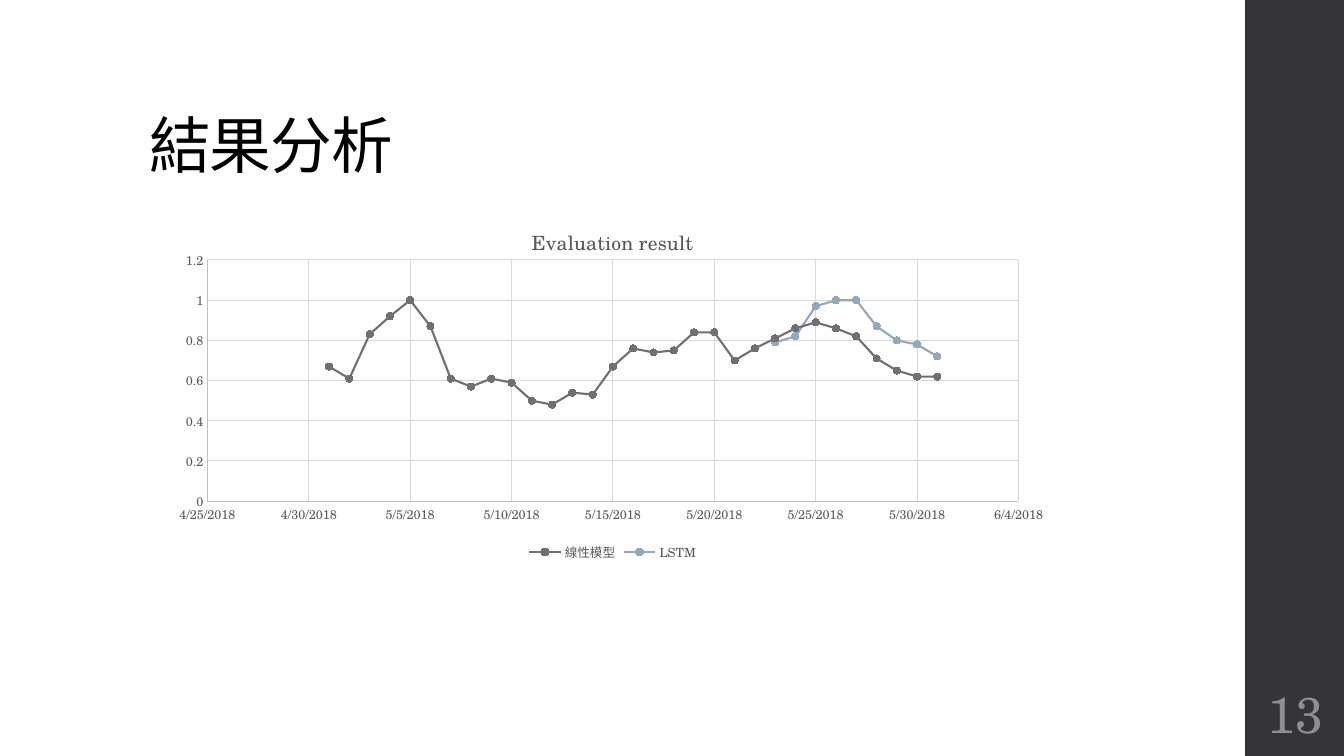
from lxml import etree
from pptx import Presentation
from pptx.chart.data import XyChartData
from pptx.dml.color import RGBColor
from pptx.enum.chart import XL_CHART_TYPE as ChartType
from pptx.enum.chart import XL_LEGEND_POSITION as LegendPos
from pptx.enum.chart import XL_MARKER_STYLE as Marker
from pptx.enum.chart import XL_TICK_MARK as Tick
from pptx.enum.shapes import MSO_SHAPE as Shape
from pptx.enum.text import MSO_ANCHOR as Anchor
from pptx.enum.text import PP_ALIGN as Align
from pptx.oxml.ns import qn
from pptx.util import Inches, Pt

BLACK = RGBColor(0x00, 0x00, 0x00)
SIDEBAR = RGBColor(0x35, 0x35, 0x37)
PAGE_GRAY = RGBColor(0x8E, 0x8E, 0x94)
LABEL_GRAY = RGBColor(0x59, 0x59, 0x59)
AXIS_GRAY = RGBColor(0xBF, 0xBF, 0xBF)
GRID_GRAY = RGBColor(0xD9, 0xD9, 0xD9)
LINEAR_GRAY = RGBColor(0x6F, 0x6F, 0x74)
LSTM_BLUE = RGBColor(0x92, 0xA9, 0xB9)

SERIF = "TeX Gyre Schola"
CJK = "Noto Sans CJK SC"

# Dates are day numbers: 43220 + n is n May 2018.
APRIL_30 = 43220
LINEAR = [0.67, 0.61, 0.83, 0.92, 1, 0.87, 0.61, 0.57, 0.61, 0.59, 0.5,
          0.48, 0.54, 0.53, 0.67, 0.76, 0.74, 0.75, 0.84, 0.84, 0.7,
          0.76, 0.81, 0.86, 0.89, 0.86, 0.82, 0.71, 0.65, 0.62, 0.62]
# LSTM results begin on 23 May.
LSTM = [None] * 22 + [0.79, 0.82, 0.97, 1, 1, 0.87, 0.8, 0.78, 0.72]
SERIES = [("線性模型", LINEAR, LINEAR_GRAY), ("LSTM", LSTM, LSTM_BLUE)]


def style_font(font, size, color, name=SERIF):
    font.size = Pt(size)
    font.bold = False
    font.name = name
    font.color.rgb = color


def style_line(line, color, width):
    line.color.rgb = color
    line.width = Pt(width)


def add_sidebar(slide):
    sp = slide.shapes.add_shape(Shape.RECTANGLE, Inches(12.35), 0,
                                Inches(0.98), Inches(7.5))
    sp.shadow.inherit = False
    sp.fill.solid()
    sp.fill.fore_color.rgb = SIDEBAR
    sp.line.fill.background()


def add_text(slide, box, text, size, color, font, anchor, align):
    tb = slide.shapes.add_textbox(*map(Inches, box))
    tf = tb.text_frame
    tf.word_wrap = True
    tf.vertical_anchor = anchor
    p = tf.paragraphs[0]
    p.text = text
    p.alignment = align
    style_font(p.font, size, color, font)
    return tf


def add_title(slide, text):
    tf = add_text(slide, (1.38, 0.4, 10.6, 1.45), text, 44, BLACK, CJK,
                  Anchor.BOTTOM, Align.LEFT)
    p = tf.paragraphs[0]
    p.line_spacing = 0.9
    props = p._p.pPr.find(qn("a:defRPr"))
    props.set("spc", "-50")
    latin = props.find(qn("a:latin"))
    east_asian = etree.Element(qn("a:ea"), typeface=CJK)
    latin.addnext(east_asian)


def add_page_number(slide, number):
    tf = add_text(slide, (12.35, 6.75, 1, 0.65), str(number), 36, PAGE_GRAY,
                  SERIF, Anchor.MIDDLE, Align.CENTER)
    tf.margin_left = tf.margin_right = Inches(0.05)
    tf.margin_top = tf.margin_bottom = Inches(0.05)


def style_axis(axis, low, high, step, number_format):
    axis.minimum_scale = low
    axis.maximum_scale = high
    axis.major_unit = step
    axis.major_tick_mark = axis.minor_tick_mark = Tick.NONE
    axis.has_major_gridlines = True
    style_line(axis.major_gridlines.format.line, GRID_GRAY, 0.75)
    style_line(axis.format.line, AXIS_GRAY, 0.75)
    labels = axis.tick_labels
    labels.number_format = number_format
    labels.number_format_is_linked = False
    style_font(labels.font, 9, LABEL_GRAY)


def place_plot(chart, x, y, w, h):
    """Fix the inner plot area, in fractions of the chart."""
    area = chart._chartSpace.chart.plotArea
    for old in area.findall(qn("c:layout")):
        area.remove(old)
    layout = etree.Element(qn("c:layout"))
    manual = etree.SubElement(layout, qn("c:manualLayout"))
    settings = [("layoutTarget", "inner"), ("xMode", "edge"),
                ("yMode", "edge"), ("x", x), ("y", y), ("w", w), ("h", h)]
    for tag, val in settings:
        etree.SubElement(manual, qn(f"c:{tag}"), val=str(val))
    area.insert(0, layout)


def style_series(series, color):
    series.smooth = False
    style_line(series.format.line, color, 1.5)
    marker = series.marker
    marker.style = Marker.CIRCLE
    marker.size = 5
    marker.format.fill.solid()
    marker.format.fill.fore_color.rgb = color
    style_line(marker.format.line, color, 0.75)


def add_result_chart(slide):
    data = XyChartData()
    for name, values, _ in SERIES:
        series = data.add_series(name)
        for day, value in enumerate(values, APRIL_30 + 1):
            series.add_data_point(day, value)
    box = map(Inches, (1.64, 2.07, 8.87, 3.54))
    chart = slide.shapes.add_chart(ChartType.XY_SCATTER_LINES, *box, data).chart
    style_font(chart.font, 10, BLACK)

    chart.has_title = True
    p = chart.chart_title.text_frame.paragraphs[0]
    p.text = "Evaluation result"
    style_font(p.font, 14, LABEL_GRAY)
    chart.chart_title.include_in_layout = False

    chart.has_legend = True
    chart.legend.position = LegendPos.BOTTOM
    chart.legend.include_in_layout = False
    style_font(chart.legend.font, 9, LABEL_GRAY)

    style_axis(chart.category_axis, APRIL_30 - 5, APRIL_30 + 35, 5, "m/d/yyyy")
    style_axis(chart.value_axis, 0, 1.2, 0.2, "General")
    place_plot(chart, 0.047, 0.144, 0.907, 0.676)

    plot = chart.plots[0]
    plot.vary_by_categories = False
    for series, (_, _, color) in zip(plot.series, SERIES):
        style_series(series, color)


def main():
    prs = Presentation()
    prs.slide_width = Inches(13.33)
    prs.slide_height = Inches(7.5)
    slide = prs.slides.add_slide(prs.slide_layouts[6])
    add_sidebar(slide)
    add_title(slide, "結果分析")
    add_page_number(slide, 13)
    add_result_chart(slide)
    prs.save("out.pptx")


if __name__ == "__main__":
    main()
